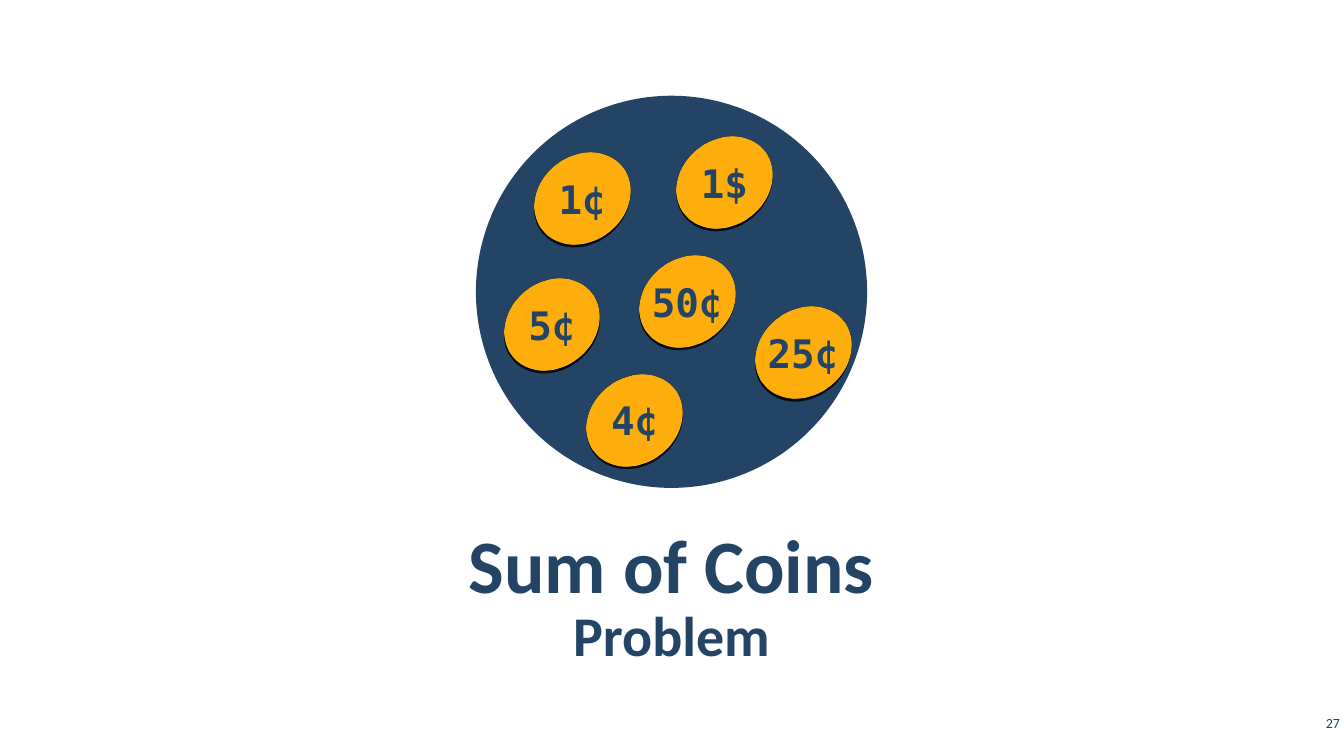
from lxml import etree
from pptx import Presentation
from pptx.dml.color import RGBColor
from pptx.enum.shapes import MSO_SHAPE
from pptx.enum.text import MSO_ANCHOR, MSO_AUTO_SIZE, PP_ALIGN
from pptx.oxml.ns import qn
from pptx.util import Inches, Pt

ELLIPSE = MSO_SHAPE.OVAL
MIDDLE = MSO_ANCHOR.MIDDLE
NO_FIT = MSO_AUTO_SIZE.NONE
CENTER, RIGHT = PP_ALIGN.CENTER, PP_ALIGN.RIGHT
NAVY, GOLD, EDGE, BLACK = "234465", "FFA000", "112233", "000000"


def color(value):
    return RGBColor.from_string(value)


def write(sp, text, size, font="Calibri", bold=False, align=CENTER,
          inset=(0, 0), spacing=None, gap=0):
    tf = sp.text_frame
    tf.text = text
    tf.word_wrap = True
    tf.auto_size = NO_FIT
    tf.vertical_anchor = MIDDLE
    tf.margin_left = tf.margin_right = Inches(inset[0])
    tf.margin_top = tf.margin_bottom = Inches(inset[1])
    p = tf.paragraphs[0]
    p.alignment = align
    p.line_spacing = spacing
    p.space_before = p.space_after = Pt(gap)
    r = p.runs[0]
    r.font.name = font
    r.font.size = Pt(size)
    r.font.bold = bold
    r.font.color.rgb = color(NAVY)


prs = Presentation()
prs.slide_width, prs.slide_height = Inches(13.33), Inches(7.5)
s = prs.slides.add_slide(prs.slide_layouts[0])

headings = [
    (s.shapes.title, "Sum of Coins", 53.9, 5.15, 0.84),
    (s.placeholders[1], "Problem", 40, 6, 0.55),
]
for sp, text, size, top, height in headings:
    sp.left, sp.top = Inches(0.67), Inches(top)
    sp.width, sp.height = Inches(11.98), Inches(height)
    write(sp, text, size, bold=True, inset=(0.12, 0.04), spacing=1.05, gap=6)

number = s.shapes.add_textbox(Inches(12.86), Inches(7), Inches(0.47), Inches(0.34))
write(number, "27", 10, align=RIGHT, inset=(0.04, 0.04))

disc = s.shapes.add_shape(ELLIPSE, Inches(4.72), Inches(0.95), Inches(3.88), Inches(3.89))
disc.shadow.inherit = False
disc.fill.solid()
disc.fill.fore_color.rgb = color(NAVY)
disc.line.fill.background()

coins = [
    ("5¢", 4.95, 2.74), ("4¢", 5.77, 3.69), ("1¢", 5.25, 1.49),
    ("50¢", 6.29, 2.51), ("25¢", 7.44, 3.02), ("1$", 6.66, 1.33),
]
for text, left, top in coins:
    coin = s.shapes.add_shape(ELLIPSE, Inches(left), Inches(top), Inches(1.05), Inches(0.96))
    coin.fill.solid()
    coin.fill.fore_color.rgb = color(GOLD)
    coin.line.color.rgb = color(EDGE)
    coin.line.width = Pt(2.25)
    coin.shadow.inherit = False
    props = coin.element.spPr
    shadow = etree.SubElement(props.find(qn("a:effectLst")), qn("a:outerShdw"),
                              blurRad=str(Pt(3.1)), dist=str(Pt(1.8)),
                              dir="5400000", rotWithShape="0")
    shade = etree.SubElement(shadow, qn("a:srgbClr"), val=BLACK)
    etree.SubElement(shade, qn("a:alpha"), val="35000")
    scene = etree.SubElement(props, qn("a:scene3d"))
    camera = etree.SubElement(scene, qn("a:camera"), prst="orthographicFront")
    etree.SubElement(camera, qn("a:rot"), lat="1200000", lon="20100000", rev="0")
    etree.SubElement(scene, qn("a:lightRig"), rig="threePt", dir="t")
    write(coin, text, 28, font="DejaVu Sans Mono", bold=True)

prs.save("out.pptx")
